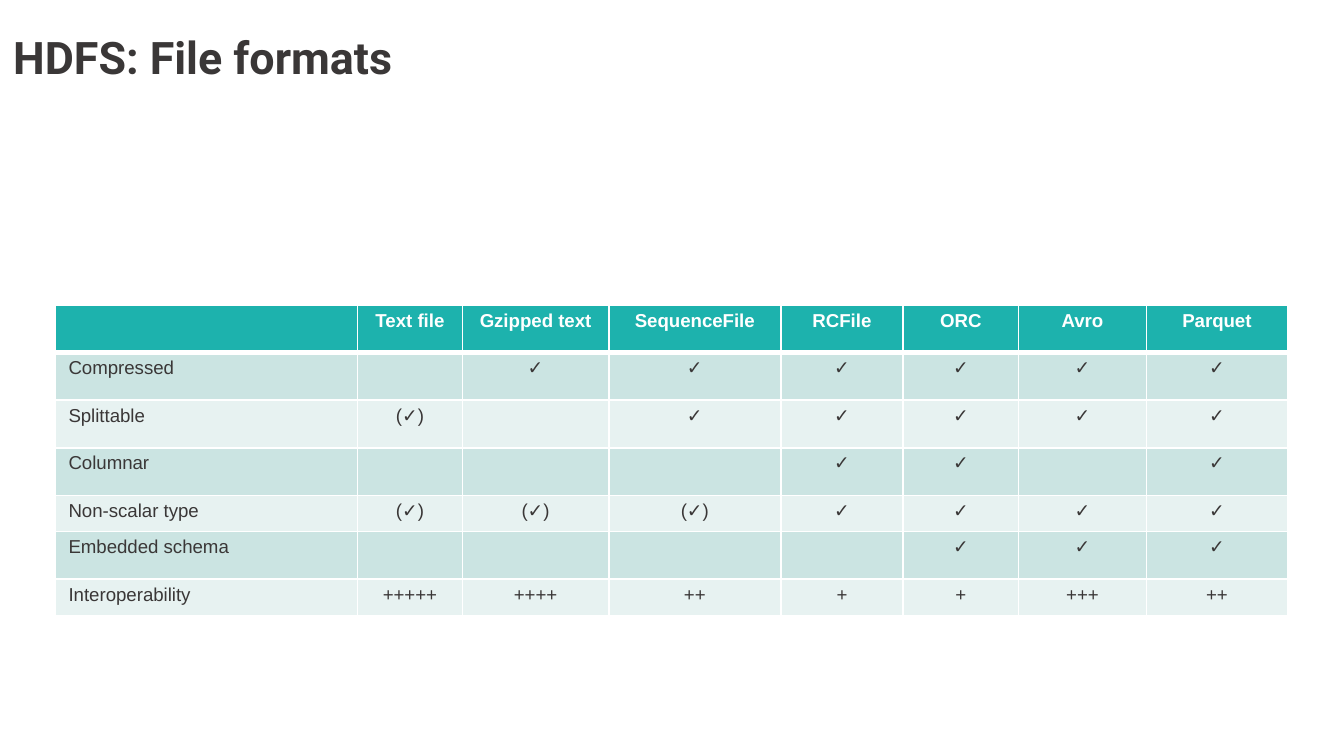
from lxml import etree
from pptx import Presentation
from pptx.dml.color import RGBColor
from pptx.enum.text import MSO_ANCHOR, PP_ALIGN
from pptx.oxml.ns import qn
from pptx.util import Inches, Pt

MIDDLE, TOP = MSO_ANCHOR.MIDDLE, MSO_ANCHOR.TOP
LEFT, CENTER = PP_ALIGN.LEFT, PP_ALIGN.CENTER
DARK = RGBColor(0x3A, 0x37, 0x37)
WHITE = RGBColor(0xFF, 0xFF, 0xFF)
TEAL = RGBColor(0x1D, 0xB2, 0xAD)
MINT = RGBColor(0xCB, 0xE4, 0xE2)
PALE = RGBColor(0xE7, 0xF2, 0xF1)


def style(font, color, **form):
    for name, value in form.items():
        setattr(font, name, value)
    font.color.rgb = color


def border(cell, side, width):
    line = etree.SubElement(cell._tc.get_or_add_tcPr(), qn("a:" + side),
                            w=str(Pt(width)))
    fill = etree.SubElement(line, qn("a:solidFill"))
    etree.SubElement(fill, qn("a:srgbClr"), val=str(WHITE))


# Slide in 16:9
deck = Presentation()
deck.slide_width = Inches(10)
deck.slide_height = Inches(10 * 9 / 16)
slide = deck.slides.add_slide(deck.slide_layouts[6])

# Title
box = slide.shapes.add_textbox(Inches(0), Inches(0.04), Inches(9), Inches(0.81))
frame = box.text_frame
frame.word_wrap = True
frame.vertical_anchor = MIDDLE
para = frame.paragraphs[0]
para.line_spacing = 0.9
run = para.add_run()
run.text = "HDFS: File formats"
style(run.font, DARK, name="Roboto", size=Pt(24), bold=True)

# Table content
data = [
    ["", "Text file", "Gzipped text", "SequenceFile", "RCFile", "ORC", "Avro", "Parquet"],
    ["Compressed", "", "✓", "✓", "✓", "✓", "✓", "✓"],
    ["Splittable", "(✓)", "", "✓", "✓", "✓", "✓", "✓"],
    ["Columnar", "", "", "", "✓", "✓", "", "✓"],
    ["Non-scalar type", "(✓)", "(✓)", "(✓)", "✓", "✓", "✓", "✓"],
    ["Embedded schema", "", "", "", "", "✓", "✓", "✓"],
    ["Interoperability", "+++++", "++++", "++", "+", "+", "+++", "++"],
]
widths = [2.25, 0.78, 1.09, 1.28, 0.91, 0.86, 0.95, 1.05]
# Rows with a blank cell are taller and share the height left by the low ones
total, low = 2.31, 0.27
blanks = sum("" in row for row in data)
tall = (total - low * (len(data) - blanks)) / blanks
heights = [tall if "" in row else low for row in data]

# Table grid
table = slide.shapes.add_table(
    len(data), len(widths), Inches(0.41), Inches(2.27),
    Inches(sum(widths)), Inches(total)).table
for col, width in zip(table.columns, widths):
    col.width = Inches(width)
for row, height in zip(table.rows, heights):
    row.height = Inches(height)

# Table cells
cell_form = {"margin_left": Inches(0.1), "margin_right": Inches(0.1),
             "margin_top": Inches(0.04), "margin_bottom": Inches(0.04),
             "vertical_anchor": TOP}
for r, row in enumerate(data):
    head = r == 0
    for c, text in enumerate(row):
        cell = table.cell(r, c)
        for name, value in cell_form.items():
            setattr(cell, name, value)
        edges = {"lnL": 1, "lnR": 1, "lnT": 3 if r == 1 else 1, "lnB": 3 if head else 1}
        for side, width in edges.items():
            border(cell, side, width)
        cell.fill.solid()
        cell.fill.fore_color.rgb = TEAL if head else MINT if r % 2 else PALE
        para = cell.text_frame.paragraphs[0]
        para.alignment = CENTER if c else LEFT
        if text:
            run = para.add_run()
            run.text = text
            style(run.font, WHITE if head else DARK,
                  name="Arial", size=Pt(10), bold=head)
        else:
            # Small end mark keeps a blank cell from stretching its row
            etree.SubElement(para._p, qn("a:endParaRPr"), sz="1000")

deck.save("out.pptx")
